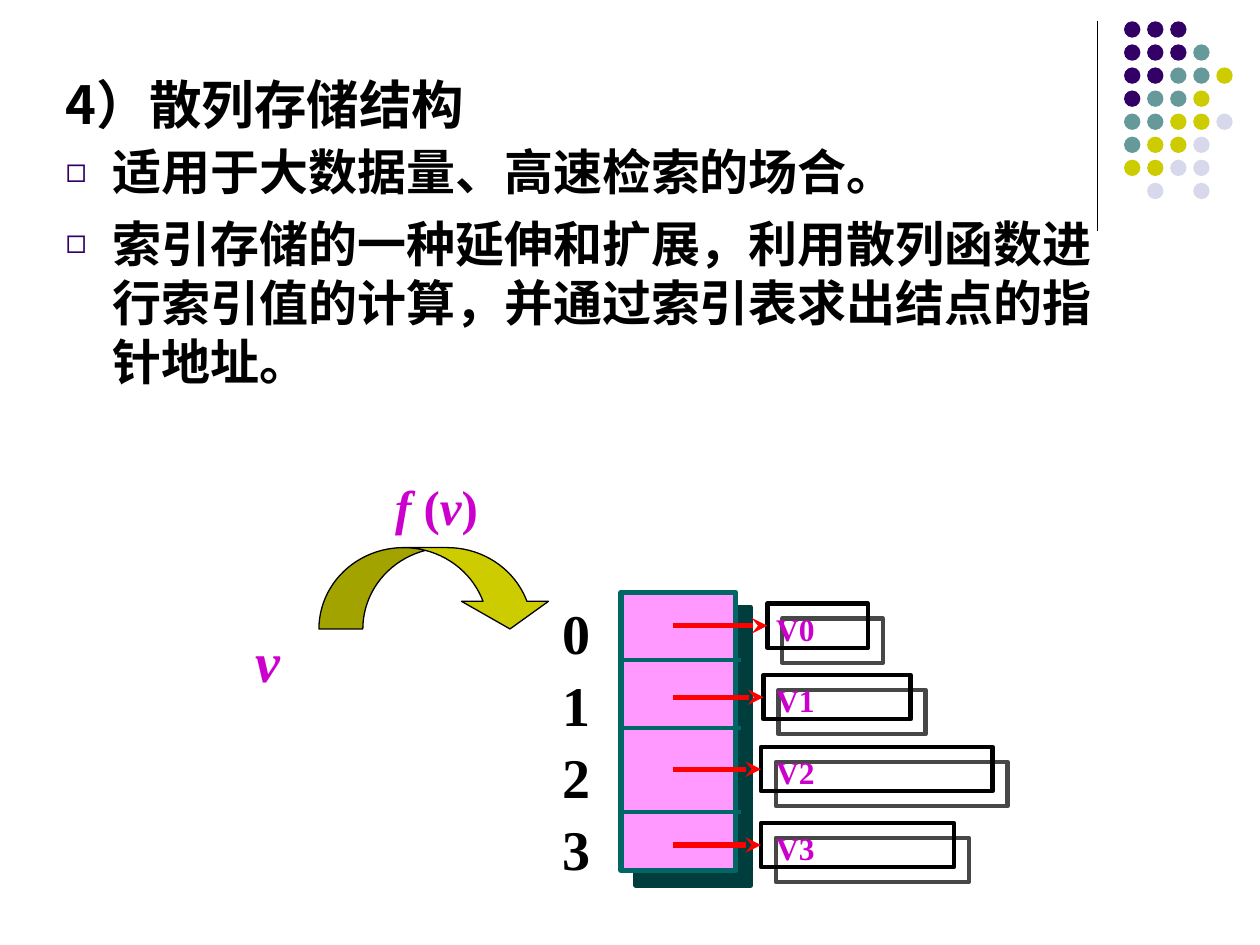
from dataclasses import dataclass

from lxml import etree
from pptx import Presentation
from pptx.dml.color import RGBColor
from pptx.enum.shapes import MSO_CONNECTOR, MSO_SHAPE
from pptx.enum.text import MSO_ANCHOR, PP_ALIGN
from pptx.oxml.ns import qn
from pptx.util import Cm, Pt

STRAIGHT = MSO_CONNECTOR.STRAIGHT
RECTANGLE = MSO_SHAPE.RECTANGLE
OVAL = MSO_SHAPE.OVAL
CURVED_ARROW = MSO_SHAPE.CURVED_DOWN_ARROW
CENTER = PP_ALIGN.CENTER
LEFT = PP_ALIGN.LEFT
TOP = MSO_ANCHOR.TOP
MIDDLE = MSO_ANCHOR.MIDDLE

COLORS = {
    "purple": "330066",
    "teal": "669999",
    "olive": "CCCC00",
    "lavender": "D8D8EC",
    "black": "000000",
    "pink": "FF99FF",
    "table_line": "006666",
    "table_shadow": "003D3D",
    "box_shadow": "474747",
    "red": "FF0000",
    "magenta": "CC00CC",
}
CHINESE_FONT = "Noto Sans CJK SC"
LATIN_FONT = "Times New Roman"
DOT_ROWS = ("PPP", "PPPT", "PPTTO", "PTTO", "TTOOL", "TOOL", "OOLL", " L L")
DOT_COLORS = {"P": "purple", "T": "teal", "O": "olive", "L": "lavender"}
DOT_PITCH = 0.465


@dataclass
class BodyLine:
    text: str
    size: int
    spacing: float
    space_before: float
    bullet: bool


@dataclass
class Bucket:
    left: float
    top: float
    width: float


BODY_LINES = (
    BodyLine("4）散列存储结构", 30, 0.9, 0, False),
    BodyLine("适用于大数据量、高速检索的场合。", 28, 0.9, 7, True),
    BodyLine("索引存储的一种延伸和扩展，利用散列函数进行索引值的计算，"
             "并通过索引表求出结点的指针地址。", 28, 1.0, 7, True),
)
BUCKETS = (
    Bucket(15.47, 12.17, 2.03),
    Bucket(15.39, 13.61, 2.97),
    Bucket(15.34, 15.06, 4.67),
    Bucket(15.34, 16.59, 3.89),
)


def rgb(name: str) -> RGBColor:
    return RGBColor.from_string(COLORS[name])


def add_shape(slide, kind, left: float, top: float, width: float, height: float,
              fill: str = "", line: str = "", weight: float = 0):
    shape = slide.shapes.add_shape(kind, Cm(left), Cm(top), Cm(width), Cm(height))
    shape.shadow.inherit = False
    if fill:
        shape.fill.solid()
        shape.fill.fore_color.rgb = rgb(fill)
    else:
        shape.fill.background()
    if line:
        shape.line.color.rgb = rgb(line)
        shape.line.width = Pt(weight)
    else:
        shape.line.fill.background()
    return shape


def add_shadow(shape, color: str) -> None:
    effects = shape.element.spPr.find(qn("a:effectLst"))
    shadow = etree.SubElement(effects, qn("a:outerShdw"), dist=str(Pt(12.1)),
                              dir="2700000", algn="ctr", rotWithShape="0")
    etree.SubElement(shadow, qn("a:srgbClr"), val=COLORS[color])


def add_line(slide, start: tuple, end: tuple, color: str, weight: float,
             arrow: bool = False):
    line = slide.shapes.add_connector(STRAIGHT, *map(Cm, start + end))
    line.line.color.rgb = rgb(color)
    line.line.width = Pt(weight)
    if arrow:
        etree.SubElement(line.line._get_or_add_ln(), qn("a:tailEnd"), type="stealth")
    etree.SubElement(line.element.spPr, qn("a:effectLst"))
    return line


def add_label(slide, text: str, left: float, top: float, width: float, height: float,
              size: int, color: str, align=LEFT, padded: bool = True,
              italic: bool = False, spacing: float = 0, anchor=TOP) -> None:
    frame = slide.shapes.add_textbox(Cm(left), Cm(top), Cm(width), Cm(height)).text_frame
    frame.word_wrap = True
    frame.vertical_anchor = anchor
    if not padded:
        frame.margin_left = frame.margin_top = frame.margin_right = frame.margin_bottom = 0
    paragraph = frame.paragraphs[0]
    paragraph.alignment = align
    if spacing:
        paragraph.line_spacing = Pt(spacing)
    font = paragraph.font
    font.name, font.size, font.bold = LATIN_FONT, Pt(size), True
    font.color.rgb = rgb(color)
    for part in text.split("|"):
        run = paragraph.add_run()
        run.text = part
        if italic:
            run.font.italic = part not in "()"


def add_corner_dots(slide) -> None:
    add_line(slide, (22.12, 0.43), (22.12, 4.65), "black", 0.75)
    for row, letters in enumerate(DOT_ROWS):
        for column, letter in enumerate(letters):
            if letter in DOT_COLORS:
                add_shape(slide, OVAL, 22.66 + column * DOT_PITCH,
                          0.43 + row * DOT_PITCH, 0.33, 0.33, DOT_COLORS[letter])


def fill_body(slide) -> None:
    title, body = slide.placeholders
    title.element.getparent().remove(title.element)
    body.left, body.top, body.width, body.height = Cm(1.07), Cm(1.47), Cm(21.59), Cm(7.19)
    frame = body.text_frame
    frame.vertical_anchor = TOP
    for index, line in enumerate(BODY_LINES):
        paragraph = frame.add_paragraph() if index else frame.paragraphs[0]
        paragraph.text = line.text
        paragraph.line_spacing = line.spacing
        paragraph.space_before = Pt(line.space_before)
        properties = paragraph._p.get_or_add_pPr()
        properties.set("marL", str(Cm(0.95)))
        properties.set("indent", str(-Cm(0.95)))
        if line.bullet:
            color = etree.SubElement(properties, qn("a:buClr"))
            etree.SubElement(color, qn("a:srgbClr"), val=COLORS["purple"])
            etree.SubElement(properties, qn("a:buSzPct"), val="70000")
            etree.SubElement(properties, qn("a:buChar"), char="◻")
        else:
            etree.SubElement(properties, qn("a:buNone"))
        font = paragraph.font
        font.name, font.size, font.bold = CHINESE_FONT, Pt(line.size), True
        font.color.rgb = rgb("black")
        latin = properties.find(qn("a:defRPr")).find(qn("a:latin"))
        latin.addnext(etree.Element(qn("a:ea"), typeface=CHINESE_FONT))


def add_hash_table(slide) -> None:
    table = add_shape(slide, RECTANGLE, 12.52, 11.94, 2.31, 5.61, "pink", "table_line", 3)
    add_shadow(table, "table_shadow")
    for y in (13.31, 14.68, 16.36):
        add_line(slide, (12.52, y), (14.94, y), "table_line", 2.25)
    for index, bucket in enumerate(BUCKETS):
        add_label(slide, str(index), 11.02, 11.94 + index * 1.45, 1.19, 1.63,
                  32, "black", CENTER)
        box = add_shape(slide, RECTANGLE, bucket.left, bucket.top, bucket.width, 0.89,
                        line="black", weight=2.5)
        add_shadow(box, "box_shadow")
        add_label(slide, f"V{index}", 15.54, bucket.top + 0.07, 0.99, 0.81,
                  18, "magenta", CENTER, padded=False, spacing=23)
        middle = bucket.top + 0.445
        pointer = add_line(slide, (13.56, middle), (bucket.left, middle), "red", 3, True)
        pointer.end_connect(box, 1)


def add_hash_function(slide) -> None:
    add_label(slide, " f |(|v|)", 7.72, 9.8, 2.21, 0.99, 28, "magenta",
              padded=False, italic=True, spacing=28, anchor=MIDDLE)
    arrow = add_shape(slide, CURVED_ARROW, 6.43, 11.04, 4.73, 1.64, "olive", "black", 0.75)
    for index, value in enumerate((0.54, 1.07, 0.34)):
        arrow.adjustments[index] = value
    add_label(slide, " v", 4.62, 12.5, 1.6, 1.63, 32, "magenta", italic=True)


def main() -> None:
    presentation = Presentation()
    presentation.slide_width, presentation.slide_height = Cm(25.4), Cm(19.05)
    slide = presentation.slides.add_slide(presentation.slide_layouts[1])
    add_corner_dots(slide)
    fill_body(slide)
    add_hash_table(slide)
    add_hash_function(slide)
    presentation.save("out.pptx")


if __name__ == "__main__":
    main()
